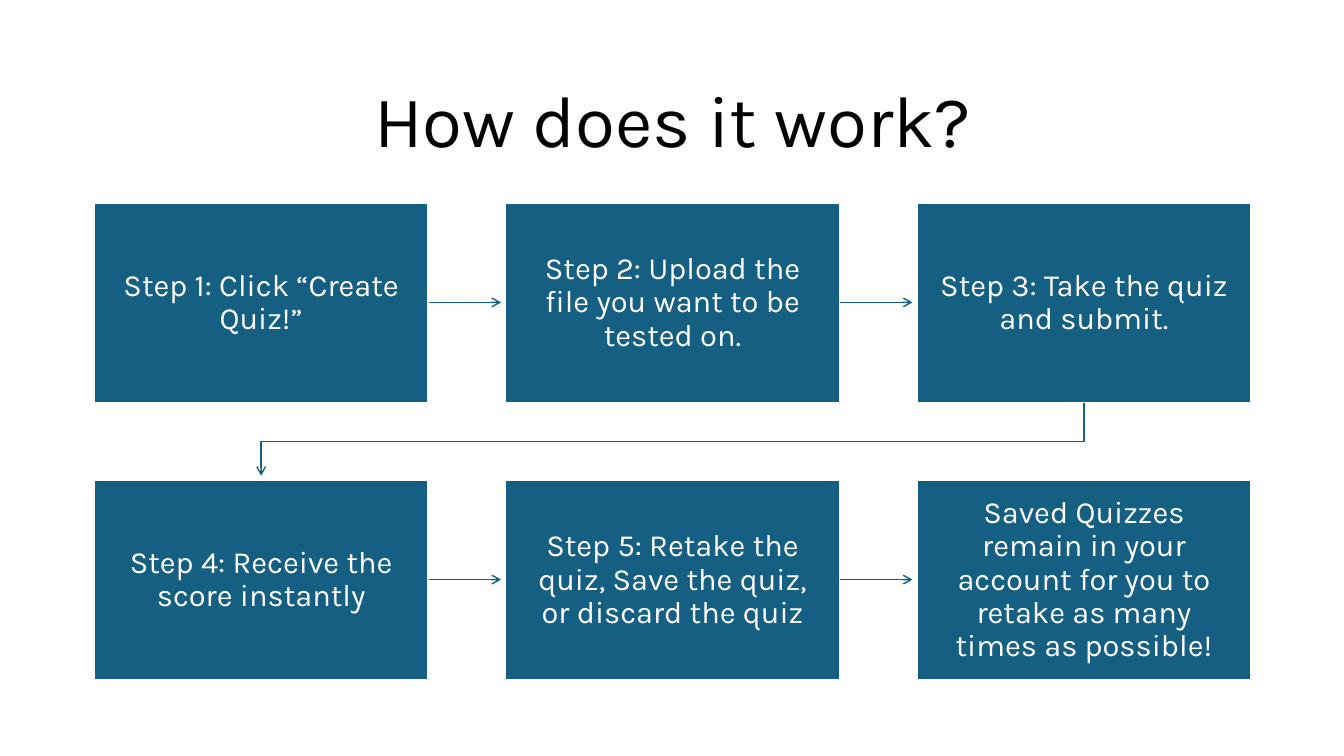
from lxml.etree import SubElement
from pptx import Presentation
from pptx.dml.color import RGBColor
from pptx.enum.shapes import MSO_CONNECTOR, MSO_SHAPE
from pptx.enum.text import MSO_ANCHOR, MSO_AUTO_SIZE, PP_ALIGN
from pptx.oxml.ns import qn
from pptx.util import Emu, Pt

PX = 9144  # EMU per px, 100 px to the inch
BLUE = RGBColor(0x15, 0x60, 0x82)
WHITE = RGBColor(0xFF, 0xFF, 0xFF)
BLACK = RGBColor(0, 0, 0)

STEPS = [
    "Step 1: Click “Create Quiz!”",
    "Step 2: Upload the file you want to be tested on.",
    "Step 3: Take the quiz and submit.",
    "Step 4: Receive the score instantly",
    "Step 5: Retake the quiz, Save the quiz, or discard the quiz",
    "Saved Quizzes remain in your account for you to retake as many times as possible!",
]
COLUMNS = 3
LEFT, TOP = 93, 201
BOX_WIDTH, BOX_HEIGHT = 332, 199
COLUMN_PITCH, ROW_PITCH = 408, 275
ARROW_GAP = 4


def px(*lengths):
    return [Emu(length * PX) for length in lengths]


class FlowSlide:
    font_name = "Karla"

    def __init__(self, presentation):
        self.slide = presentation.slides.add_slide(presentation.slide_layouts[5])
        self.shapes = self.slide.shapes

    def set_text(self, shape, text, size, color):
        frame = shape.text_frame
        frame.text = text
        frame.word_wrap = True
        frame.auto_size = MSO_AUTO_SIZE.NONE
        frame.vertical_anchor = MSO_ANCHOR.MIDDLE
        paragraph = frame.paragraphs[0]
        paragraph.alignment = PP_ALIGN.CENTER
        paragraph.line_spacing = 0.9
        paragraph.font.name = self.font_name
        paragraph.font.size = Pt(size)
        paragraph.font.color.rgb = color
        return frame

    def title(self, text, left, top, width, height):
        heading = self.shapes.title
        heading.left, heading.top, heading.width, heading.height = px(
            left, top, width, height)
        self.set_text(heading, text, 52, BLACK)

    def step(self, text, left, top):
        box = self.shapes.add_shape(
            MSO_SHAPE.RECTANGLE, *px(left, top, BOX_WIDTH, BOX_HEIGHT))
        box.shadow.inherit = False
        box.fill.solid()
        box.fill.fore_color.rgb = BLUE
        box.line.color.rgb = WHITE
        box.line.width = Pt(1.5)
        frame = self.set_text(box, text, 22, WHITE)
        frame.margin_left, frame.margin_right = px(16, 16)
        frame.margin_top, frame.margin_bottom = px(17, 17)

    def arrow(self, *points):
        """Draw a straight arrow through two points, a bent one through more."""
        if len(points) == 2:
            route = self.shapes.add_connector(
                MSO_CONNECTOR.STRAIGHT, *px(*points[0], *points[1]))
        else:
            builder = self.shapes.build_freeform(*points[0], scale=PX)
            builder.add_line_segments(points[1:], close=False)
            route = builder.convert_to_shape()
            route.fill.background()
        route.line.color.rgb = BLUE
        route.line.width = Pt(1)
        properties = route._element.spPr
        SubElement(properties.find(qn("a:ln")), qn("a:tailEnd"), type="arrow")
        SubElement(properties, qn("a:effectLst"))


def main():
    presentation = Presentation()
    presentation.slide_width, presentation.slide_height = px(1333, 750)
    flow = FlowSlide(presentation)
    flow.title("How does it work?", 92, 61, 1150, 124)

    for index, text in enumerate(STEPS):
        row, column = divmod(index, COLUMNS)
        left = LEFT + column * COLUMN_PITCH
        top = TOP + row * ROW_PITCH
        flow.step(text, left, top)
        if column < COLUMNS - 1:
            middle = top + BOX_HEIGHT // 2
            flow.arrow((left + BOX_WIDTH, middle),
                       (left + COLUMN_PITCH - ARROW_GAP, middle))

    first_center = LEFT + BOX_WIDTH // 2
    last_center = first_center + (COLUMNS - 1) * COLUMN_PITCH
    row_bottom = TOP + BOX_HEIGHT
    next_top = TOP + ROW_PITCH
    turn = (row_bottom + next_top) // 2
    flow.arrow((last_center, row_bottom), (last_center, turn),
               (first_center, turn), (first_center, next_top - ARROW_GAP))

    presentation.save("out.pptx")


if __name__ == "__main__":
    main()
